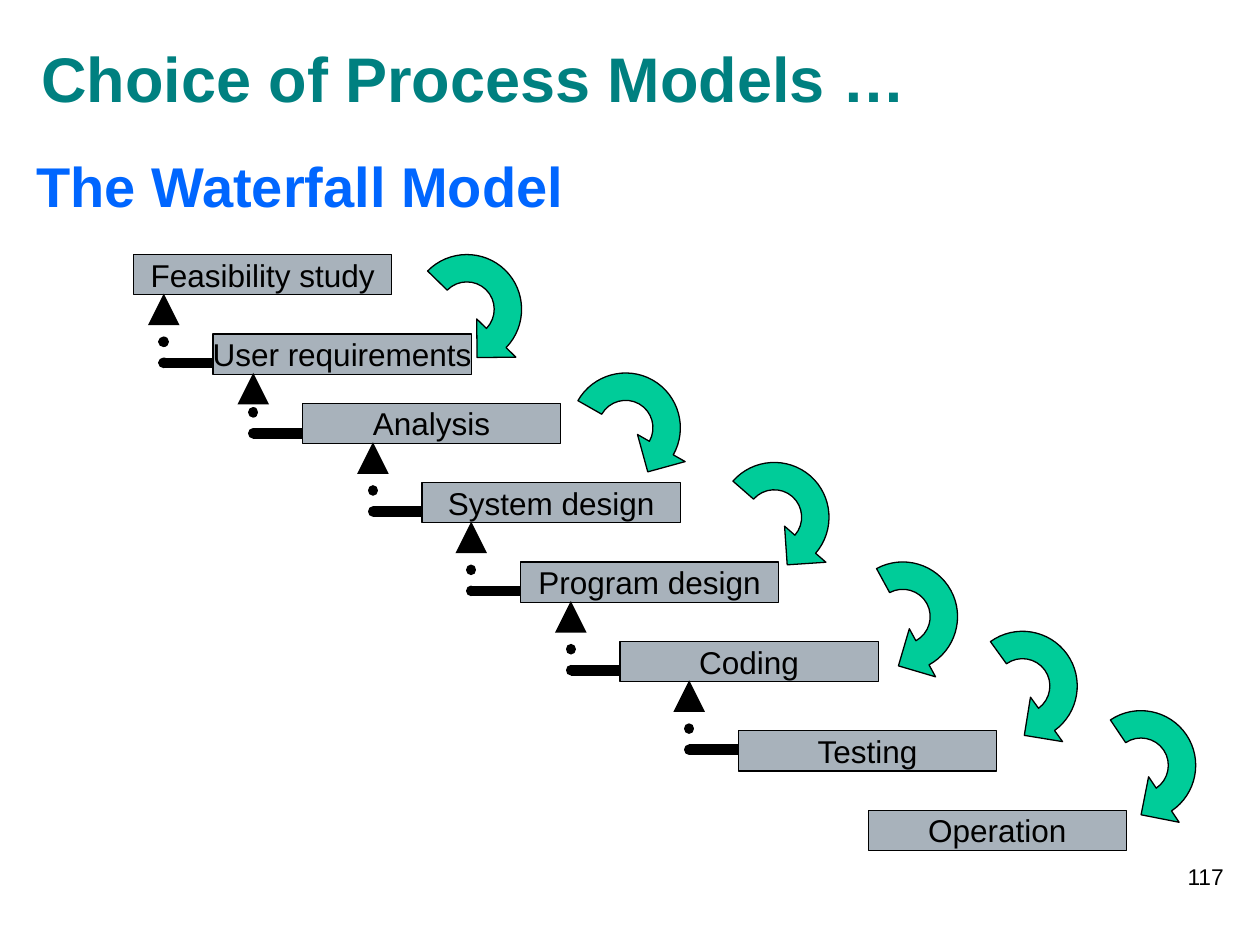
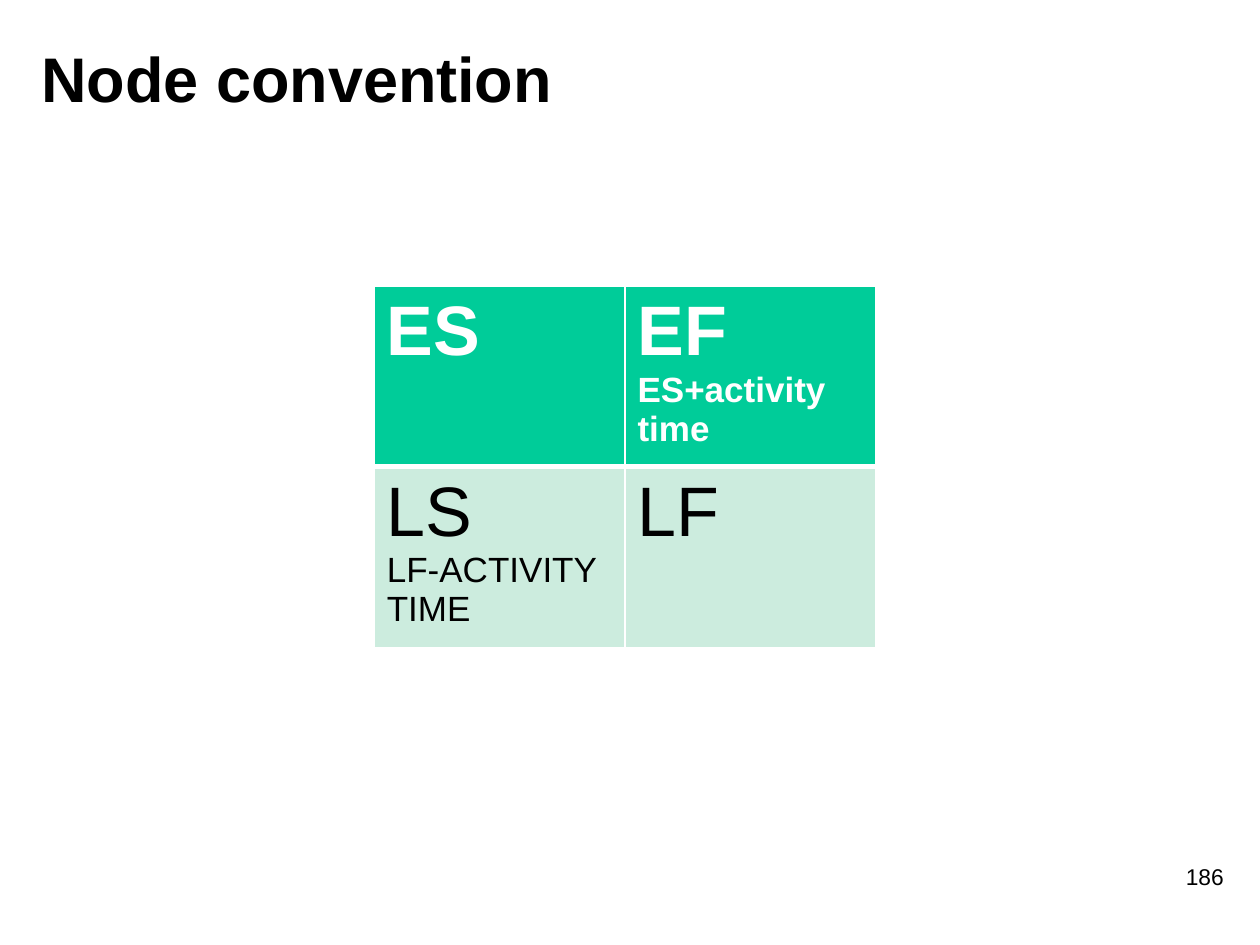
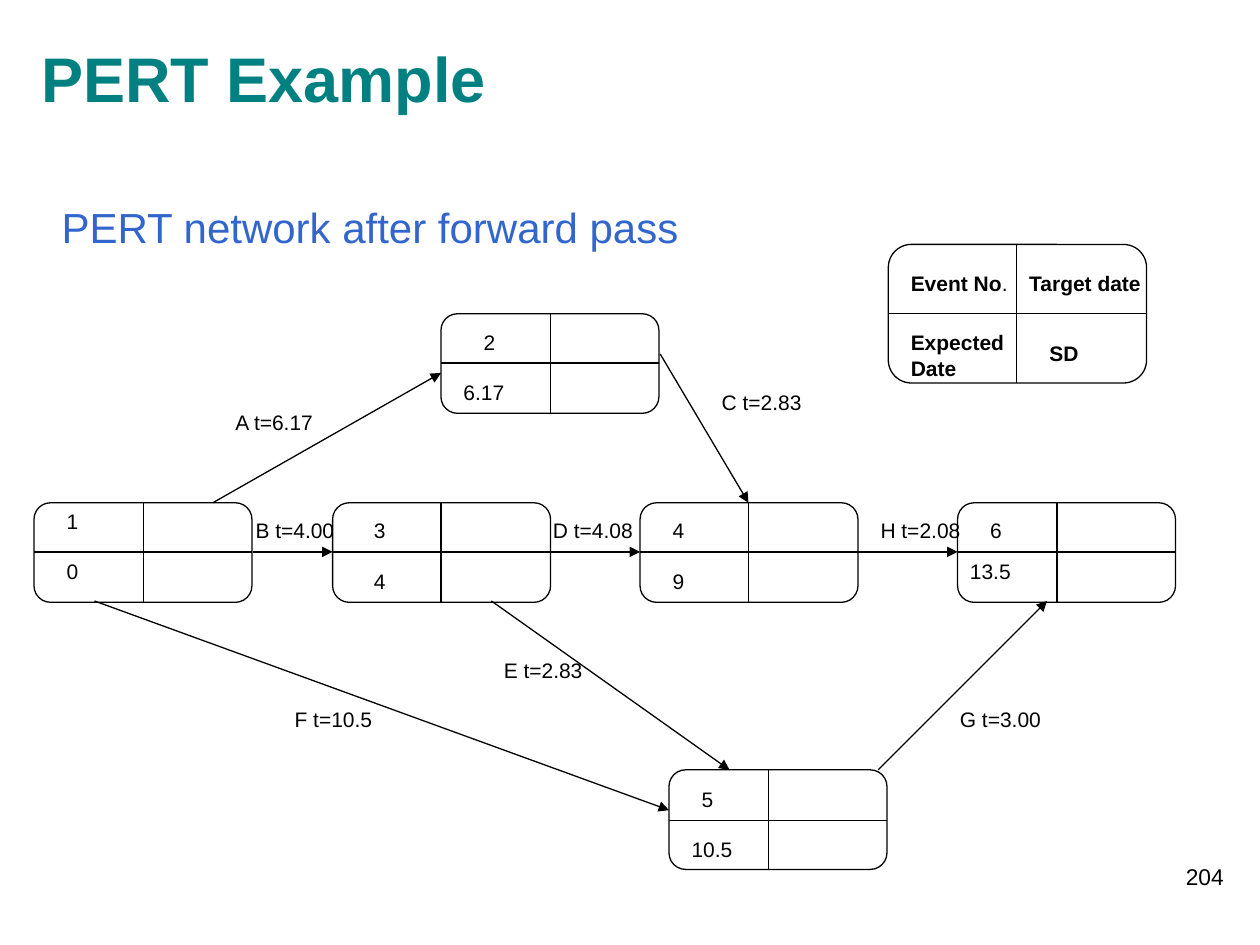
"""Build three project planning slides: waterfall model, node convention and PERT network."""
from dataclasses import dataclass

from lxml import etree
from pptx import Presentation
from pptx import util as u
from pptx.dml.color import RGBColor
from pptx.enum import dml, shapes, text
from pptx.oxml.ns import qn


@dataclass(frozen=True)
class Theme:
    font: str = "Arial"
    black: RGBColor = RGBColor(0, 0, 0)
    white: RGBColor = RGBColor(255, 255, 255)
    teal: RGBColor = RGBColor(0x00, 0x80, 0x80)
    bright_blue: RGBColor = RGBColor(0x00, 0x66, 0xFF)
    soft_blue: RGBColor = RGBColor(0x33, 0x66, 0xCC)
    grey: RGBColor = RGBColor(0xA8, 0xB2, 0xBB)
    green: RGBColor = RGBColor(0x00, 0xCC, 0x99)
    pale_green: RGBColor = RGBColor(0xCC, 0xEC, 0xDE)
    title: int = 36
    heading: int = 32
    subheading: int = 24
    stage: int = 18
    label: int = 12
    page: int = 13
    cell: int = 40
    cell_note: int = 20
    thin: float = 0.75
    thick: float = 6


theme = Theme()
presentation = Presentation()
presentation.slide_width = u.Inches(10)
presentation.slide_height = u.Inches(7.5)


def add_text(slide, box, runs, size, color=theme.black, align=text.PP_ALIGN.LEFT,
             anchor=text.MSO_ANCHOR.TOP, before=0):
    shape = slide.shapes.add_textbox(*map(u.Inches, box))
    frame = shape.text_frame
    frame.word_wrap = True
    frame.vertical_anchor = anchor
    paragraph = frame.paragraphs[0]
    paragraph.alignment = align
    paragraph.space_before = u.Pt(before)
    for content, bold in runs:
        run = paragraph.add_run()
        run.text = content
        run.font.name = theme.font
        run.font.size = u.Pt(size)
        run.font.bold = bold
        run.font.color.rgb = color


def add_line(slide, start, end, width=theme.thin, arrow=False, dotted=False):
    connector = slide.shapes.add_connector(
        shapes.MSO_CONNECTOR.STRAIGHT, *map(u.Inches, (*start, *end)))
    connector.line.color.rgb = theme.black
    connector.line.width = u.Pt(width)
    outline = connector.get_or_add_ln()
    if dotted:
        connector.line.dash_style = dml.MSO_LINE.ROUND_DOT
        outline.set("cap", "rnd")
    if arrow:
        etree.SubElement(outline, qn("a:tailEnd"), type="triangle")
    etree.SubElement(connector._element.spPr, qn("a:effectLst"))


slides = []
for title, title_color, page in [
    ("Choice of Process Models …", theme.teal, "117"),
    ("Node convention", theme.black, "186"),
    ("PERT Example", theme.teal, "204"),
]:
    slide = presentation.slides.add_slide(presentation.slide_layouts[6])
    add_text(slide, (0.23, 0.15, 8.03, 0.93), [(title, True)], theme.title, title_color,
             anchor=text.MSO_ANCHOR.MIDDLE)
    add_text(slide, (7.73, 6.8, 2.08, 0.5), [(page, False)], theme.page,
             align=text.PP_ALIGN.RIGHT)
    slides.append(slide)
waterfall, convention, pert = slides

add_text(waterfall, (0.19, 1.15, 9.61, 6.35), [("The Waterfall Model", True)],
         theme.heading, theme.bright_blue, before=3)

stages = [
    ("Feasibility study", 1.06, 2.02),
    ("User requirements", 1.69, 2.65),
    ("Analysis", 2.4, 3.2),
    ("System design", 3.35, 3.83),
    ("Program design", 4.13, 4.46),
    ("Coding", 4.92, 5.09),
    ("Testing", 5.86, 5.8),
    ("Operation", 6.89, 6.43),
]
for name, left, top in stages:
    shape = waterfall.shapes.add_shape(
        shapes.MSO_SHAPE.RECTANGLE, *map(u.Inches, (left, top, 2.05, 0.32)))
    shape.shadow.inherit = False
    shape.fill.solid()
    shape.fill.fore_color.rgb = theme.grey
    shape.line.color.rgb = theme.black
    shape.line.width = u.Pt(theme.thin)
    frame = shape.text_frame
    frame.word_wrap = False
    frame.vertical_anchor = text.MSO_ANCHOR.MIDDLE
    frame.margin_left = frame.margin_right = frame.margin_top = frame.margin_bottom = 0
    paragraph = frame.paragraphs[0]
    paragraph.alignment = text.PP_ALIGN.CENTER
    run = paragraph.add_run()
    run.text = name
    run.font.name = theme.font
    run.font.size = u.Pt(theme.stage)
    run.font.color.rgb = theme.black

arrow_size = u.Inches(0.87)
outer = arrow_size // 2
inner = outer // 2
outer_pull, inner_pull = round(outer * 0.55), round(inner * 0.55)
arrow_steps = [
    ("moveTo", [(inner, 0)]),
    ("cubicBezTo", [(inner, -inner_pull), (inner_pull, -inner), (0, -inner)]),
    ("cubicBezTo", [(-inner_pull, -inner), (-inner, -inner_pull), (-inner, 0)]),
    ("lnTo", [(-outer, 0)]),
    ("cubicBezTo", [(-outer, -outer_pull), (-outer_pull, -outer), (0, -outer)]),
    ("cubicBezTo", [(outer_pull, -outer), (outer, -outer_pull), (outer, 0)]),
    ("lnTo", [(outer * 5 // 4, 0)]),
    ("lnTo", [(outer * 3 // 4, inner)]),
    ("lnTo", [(outer // 4, 0)]),
    ("close", []),
]
for left, top, turn in [
    (3.27, 2.02, 44.3), (4.53, 2.96, 29.6), (5.71, 3.67, 41.1),
    (6.73, 4.46, 61.4), (7.68, 5.01, 54.2), (8.62, 5.64, 56.1),
]:
    builder = waterfall.shapes.build_freeform(0, 0)
    builder.add_line_segments([(arrow_size, arrow_size)])
    shape = builder.convert_to_shape(u.Inches(left), u.Inches(top))
    outline = shape._element.spPr.find(".//" + qn("a:path"))
    for segment in list(outline):
        outline.remove(segment)
    for step, points in arrow_steps:
        segment = etree.SubElement(outline, qn(f"a:{step}"))
        for x, y in points:
            etree.SubElement(segment, qn("a:pt"), x=str(outer + x), y=str(outer + y))
    shape.rotation = turn
    shape.shadow.inherit = False
    shape.fill.solid()
    shape.fill.fore_color.rgb = theme.green
    shape.line.color.rgb = theme.black
    shape.line.width = u.Pt(theme.thin)

for (_, _, upper_top), (_, left, top) in zip(stages[:-2], stages[1:-1]):
    corner = (left - 0.39, min(upper_top + 0.86, top + 0.24))
    add_line(waterfall, (left, corner[1]), corner, theme.thick)
    add_line(waterfall, corner, (corner[0], upper_top + 0.31), theme.thick,
             arrow=True, dotted=True)

table = convention.shapes.add_table(
    2, 2, *map(u.Inches, (2.97, 2.27, 3.98, 2.56))).table
cell_texts = [[["ES"], ["EF", "ES+activity time"]], [["LS", "LF-ACTIVITY TIME"], ["LF"]]]
row_styles = [(theme.green, theme.white, True), (theme.pale_green, theme.black, False)]
for row, (fill, color, header) in enumerate(row_styles):
    for column, lines in enumerate(cell_texts[row]):
        cell = table.cell(row, column)
        cell.fill.solid()
        cell.fill.fore_color.rgb = fill
        for number, content in enumerate(lines):
            frame = cell.text_frame
            paragraph = frame.add_paragraph() if number else frame.paragraphs[0]
            run = paragraph.add_run()
            run.text = content
            run.font.name = theme.font
            run.font.size = u.Pt(theme.cell_note if number else theme.cell)
            run.font.bold = header
            run.font.color.rgb = color
        properties = cell._tc.get_or_add_tcPr()
        for position, side in enumerate(("lnL", "lnR", "lnT", "lnB")):
            shared_edge = (header and side == "lnB") or (not header and side == "lnT")
            border = etree.Element(qn(f"a:{side}"), w=str(u.Pt(3 if shared_edge else 1)))
            border_fill = etree.SubElement(border, qn("a:solidFill"))
            etree.SubElement(border_fill, qn("a:srgbClr"), val=str(theme.white))
            properties.insert(position, border)

add_text(pert, (0.39, 1.55, 9.61, 4.82), [("PERT network after forward pass", False)],
         theme.subheading, theme.soft_blue, before=2.5)

node_size = (1.73, 0.79)
legend_size = (2.05, 1.1)
for left, top, (width, height), divider, middle in [
    (0.27, 3.99, node_size, 1.14, 4.38),
    (3.5, 2.49, node_size, 4.37, 2.88),
    (2.64, 3.99, node_size, 3.5, 4.38),
    (5.08, 3.99, node_size, 5.94, 4.38),
    (7.6, 3.99, node_size, 8.39, 4.38),
    (5.31, 6.11, node_size, 6.1, 6.51),
    (7.05, 1.94, legend_size, 8.07, 2.49),
]:
    shape = pert.shapes.add_shape(
        shapes.MSO_SHAPE.FLOWCHART_ALTERNATE_PROCESS,
        *map(u.Inches, (left, top, width, height)))
    shape.shadow.inherit = False
    shape.fill.background()
    shape.line.color.rgb = theme.black
    shape.line.width = u.Pt(theme.thin)
    add_line(pert, (divider, top), (divider, top + height))
    add_line(pert, (left, middle), (left + width, middle))

for start, end in [
    ((2.01, 4.38), (2.64, 4.38)),
    ((1.69, 3.99), (3.5, 2.96)),
    ((4.37, 4.38), (5.08, 4.38)),
    ((5.24, 2.81), (5.94, 3.99)),
    ((6.81, 4.38), (7.6, 4.38)),
    ((3.9, 4.77), (5.79, 6.11)),
    ((0.75, 4.77), (5.31, 6.43)),
    ((6.97, 6.11), (8.31, 4.77)),
]:
    add_line(pert, start, end, arrow=True)

activity_width, number_width = 1.34, 0.47
for content, left, top, width in [
    ("A t=6.17", 1.77, 3.2, activity_width),
    ("C t=2.83", 5.63, 3.04, activity_width),
    ("H t=2.08", 6.89, 4.06, activity_width),
    ("G t=3.00", 7.52, 5.56, activity_width),
    ("D t=4.08", 4.29, 4.06, activity_width),
    ("B t=4.00", 1.93, 4.06, activity_width),
    ("F t=10.5", 2.24, 5.56, activity_width),
    ("E t=2.83", 3.9, 5.17, activity_width),
    ("1", 0.43, 3.99, number_width),
    ("0", 0.43, 4.38, number_width),
    ("3", 2.87, 4.06, number_width),
    ("4", 2.87, 4.46, number_width),
    ("2", 3.74, 2.57, number_width),
    ("6.17", 3.58, 2.96, 0.71),
    ("4", 5.24, 4.06, number_width),
    ("9", 5.24, 4.46, number_width),
    ("6", 7.76, 4.06, number_width),
    ("13.5", 7.6, 4.38, 0.87),
    ("5", 5.47, 6.19, number_width),
    ("10.5", 5.39, 6.59, 0.63),
]:
    add_text(pert, (left, top, width, 0.3), [(content, False)], theme.label, before=1)

for box, runs in [
    ((7.13, 2.1, 1.18, 0.3), [("Event No", True), (".", False)]),
    ((8.07, 2.1, 1.18, 0.3), [("Target date", True)]),
    ((7.13, 2.57, 1.18, 0.5), [("Expected Date", True)]),
    ((8.23, 2.65, 0.71, 0.3), [("SD", True)]),
]:
    add_text(pert, box, runs, theme.label, before=1)

presentation.save("out.pptx")
